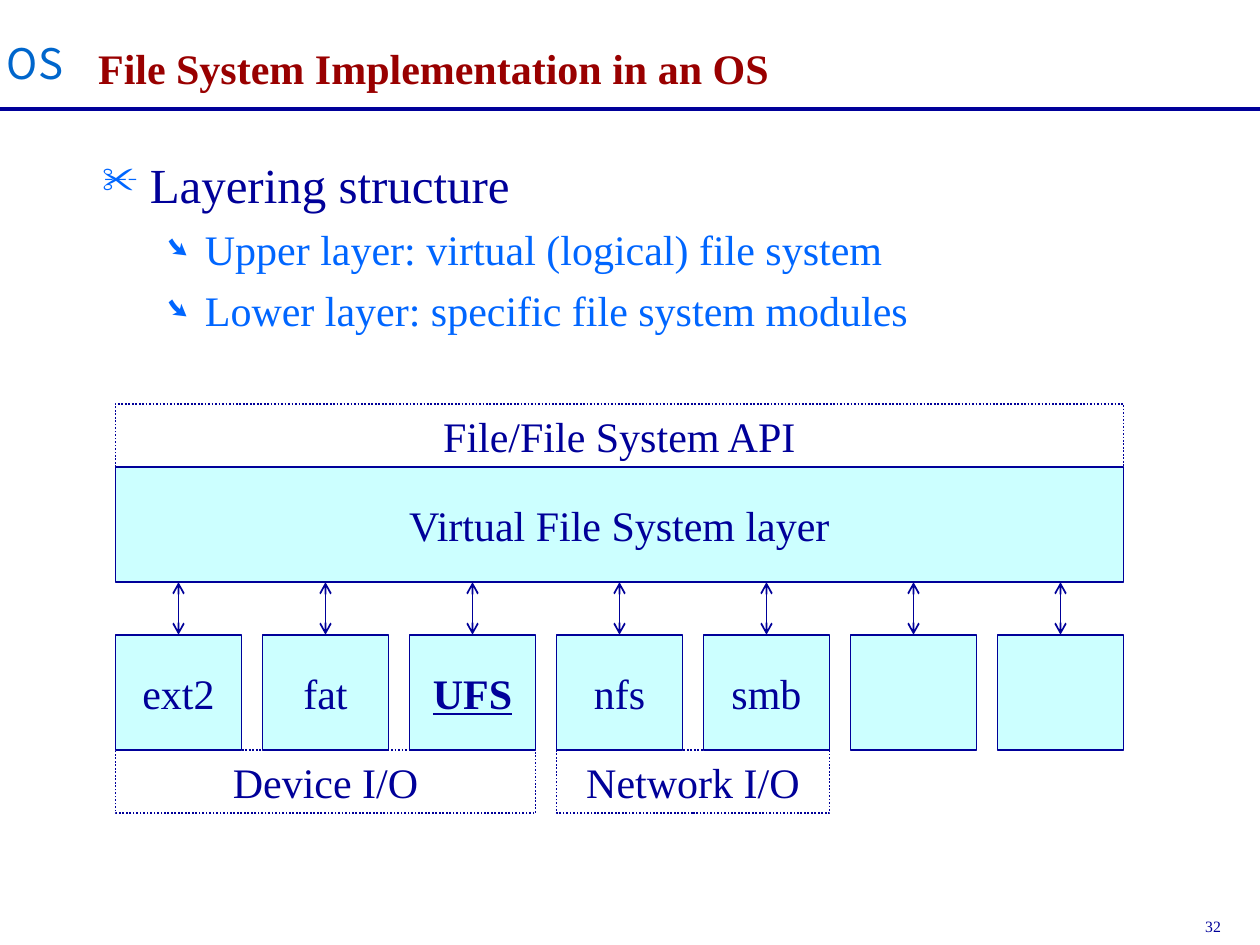
from dataclasses import dataclass

from lxml.etree import SubElement
from pptx import Presentation
from pptx.dml.color import RGBColor
from pptx.enum.dml import MSO_LINE
from pptx.enum.shapes import MSO_CONNECTOR, MSO_SHAPE
from pptx.enum.text import MSO_ANCHOR, MSO_AUTO_SIZE, PP_ALIGN
from pptx.oxml.ns import qn
from pptx.util import Pt


@dataclass(frozen=True)
class Theme:
    navy: str = "000099"
    blue: str = "0066FF"
    mark: str = "0066CC"
    red: str = "990000"
    pale: str = "CCFFFF"
    serif: str = "Times New Roman"
    sans: str = "Noto Sans CJK SC"
    head: int = 28
    text: int = 24
    note: int = 9


T = Theme()


def rgb(code):
    return RGBColor.from_string(code)


def style(para, color=T.navy, size=T.text, face=T.serif, bold=False):
    font = para.font
    font.name, font.size, font.bold = face, Pt(size), bold
    font.color.rgb = rgb(color)


def add_text(slide, box, text, wrap=False, **look):
    frame = slide.shapes.add_textbox(*map(Pt, box)).text_frame
    frame.word_wrap = wrap
    frame.text = text
    style(frame.paragraphs[0], **look)
    return frame


def add_line(slide, start, end, width, arrows=False):
    line = slide.shapes.add_connector(
        MSO_CONNECTOR.STRAIGHT, *map(Pt, (*start, *end)))
    line.line.color.rgb = rgb(T.navy)
    line.line.width = Pt(width)
    if arrows:
        edge = line.line._get_or_add_ln()
        for tag in ("a:headEnd", "a:tailEnd"):
            SubElement(edge, qn(tag), type="arrow")
    SubElement(line._element.spPr, qn("a:effectLst"))


def add_block(slide, box, text="", solid=True, strong=False):
    shape = slide.shapes.add_shape(MSO_SHAPE.RECTANGLE, *map(Pt, box))
    shape.shadow.inherit = False
    shape.line.color.rgb = rgb(T.navy)
    shape.line.width = Pt(1)
    if solid:
        shape.fill.solid()
        shape.fill.fore_color.rgb = rgb(T.pale)
    else:
        shape.fill.background()
        shape.line.dash_style = MSO_LINE.ROUND_DOT
    if text:
        frame = shape.text_frame
        frame.word_wrap = False
        frame.vertical_anchor = MSO_ANCHOR.MIDDLE
        frame.text = text
        para = frame.paragraphs[0]
        para.alignment = PP_ALIGN.CENTER
        style(para, bold=strong)
        para.font.underline = strong


def add_bullet(para, sign, left, hang):
    props = para._p.get_or_add_pPr()
    props.set("marL", str(Pt(left)))
    props.set("indent", str(Pt(-hang)))
    color = SubElement(props, qn("a:buClr"))
    SubElement(color, qn("a:srgbClr"), val=T.blue)
    SubElement(props, qn("a:buSzPct"), val="75000")
    SubElement(props, qn("a:buChar"), char=sign)


def draw_header(slide, box):
    left, top, width, height = box
    add_line(slide, (left, top + height), (left + width, top + height), 2.25)
    # Corner label, wide enough for one line
    label = add_text(slide, (left + 4, top + 18, 42, 40), "OS",
                     color=T.mark, face=T.sans)
    label.margin_left = label.margin_right = 0
    title = add_text(slide, (left + 49, top + 9, 626, 47.5),
                     "File System Implementation in an OS",
                     wrap=True, color=T.red, bold=True)
    title.vertical_anchor = MSO_ANCHOR.BOTTOM


def draw_body(slide, box):
    frame = add_text(slide, box, "Layering structure", wrap=True, size=T.head)
    first = frame.paragraphs[0]
    first.space_before = Pt(7)
    add_bullet(first, "✂", 27, 27)
    for text in ("Upper layer: virtual (logical) file system",
                 "Lower layer: specific file system modules"):
        para = frame.add_paragraph()
        para.text, para.level = text, 1
        para.space_before = Pt(6)
        style(para, color=T.blue)
        add_bullet(para, "➘", 58.5, 22.5)


def draw_layers(slide, box):
    left, top, width, height = box
    thin, gap, space = 36, 30, 12
    tall = (height - 2 * thin - gap) / 2
    names = ("ext2", "fat", "UFS", "nfs", "smb", "", "")
    cell = (width - space * (len(names) - 1)) / len(names)
    step = cell + space
    base = top + thin + tall
    row = base + gap

    # Shared upper layers
    add_block(slide, (left, base - tall, width, tall),
              "Virtual File System layer")
    add_block(slide, (left, top, width, thin),
              "File/File System API", solid=False)

    # File system modules and their links
    for i, name in enumerate(names):
        x = left + i * step
        add_block(slide, (x, row, cell, tall), name, strong=name == "UFS")
        mid = x + cell / 2
        add_line(slide, (mid, base), (mid, row), 1, arrows=True)

    # I/O layers: first column and number of columns spanned
    for name, start, span in (("Device I/O", 0, 3), ("Network I/O", 3, 2)):
        add_block(slide, (left + start * step, row + tall,
                          span * step - space, thin), name, solid=False)


def draw_number(slide, box):
    frame = add_text(slide, box, "32", size=T.note)
    frame.auto_size = MSO_AUTO_SIZE.SHAPE_TO_FIT_TEXT


def main():
    deck = Presentation()
    deck.slide_width, deck.slide_height = Pt(720), Pt(540)
    slide = deck.slides.add_slide(deck.slide_layouts[6])
    draw_header(slide, (0, 0, 720, 62.2))
    draw_body(slide, (51.5, 84.6, 612, 116))
    draw_layers(slide, (66, 230.7, 576, 234))
    draw_number(slide, (681.6, 520.2, 51.8, 18))
    deck.save("out.pptx")


if __name__ == "__main__":
    main()
